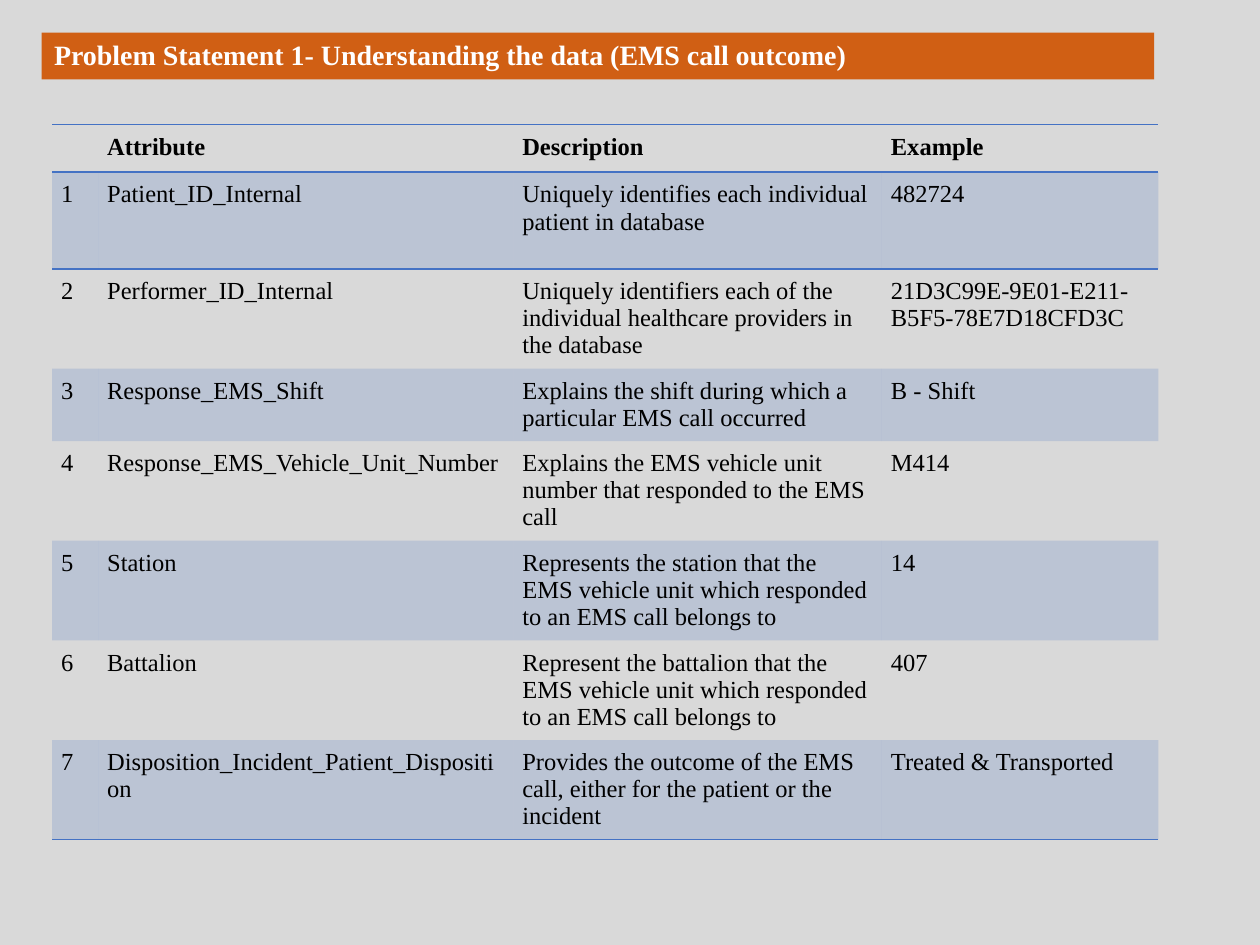
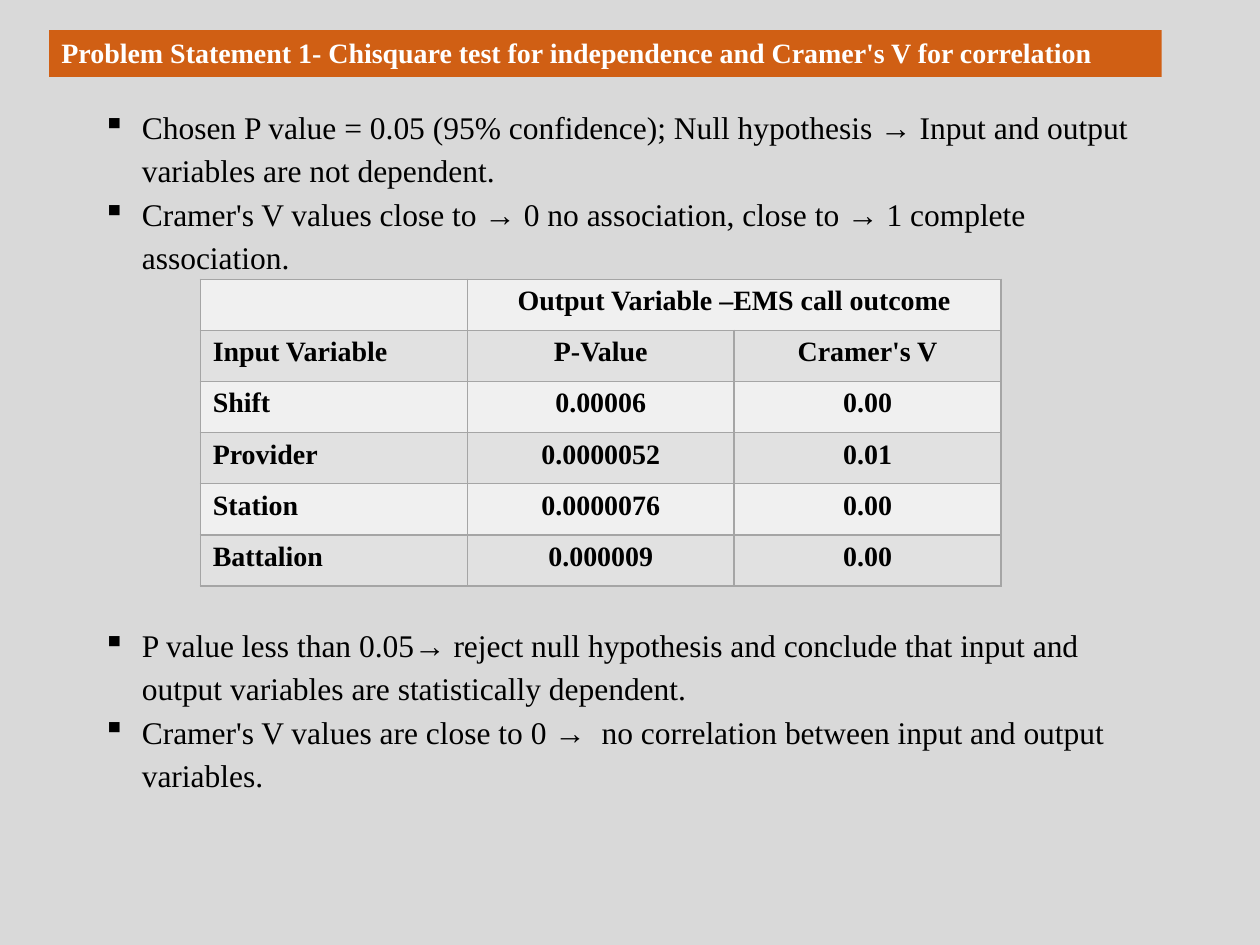
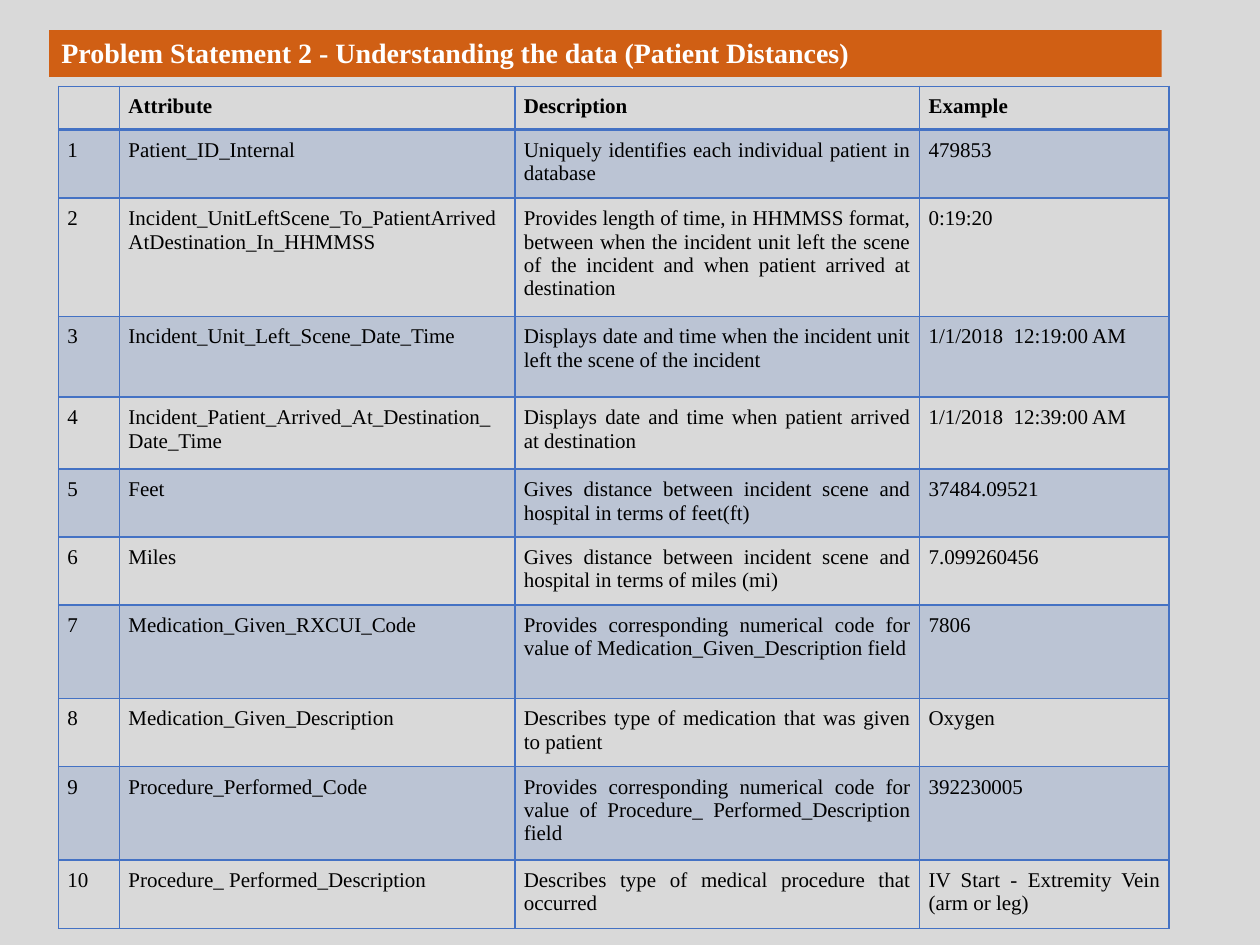
from dataclasses import dataclass

import lxml.etree
import pptx
import pptx.dml.color
import pptx.enum.shapes
import pptx.enum.text
import pptx.oxml.ns
import pptx.util

Cm = pptx.util.Cm
Pt = pptx.util.Pt
RGBColor = pptx.dml.color.RGBColor
Align = pptx.enum.text.PP_ALIGN
qn = pptx.oxml.ns.qn

BACKGROUND = RGBColor(0xD9, 0xD9, 0xD9)
ORANGE = RGBColor(0xD0, 0x5F, 0x14)
BLUE = RGBColor(0x44, 0x72, 0xC4)
GREY_LINE = RGBColor(0xA5, 0xA5, 0xA5)
LIGHT_ROW = RGBColor(0xF0, 0xF0, 0xF0)
DARK_ROW = RGBColor(0xE1, 0xE1, 0xE1)
WHITE = RGBColor(0xFF, 0xFF, 0xFF)
BLACK = RGBColor(0, 0, 0)

FONT = "Times New Roman"
LINE_SPACING = 1.15
SIDE_INSET = 0.25
PLAIN_TABLE_STYLE = "{2D5ABB26-0587-4C30-8999-92F81FD0307C}"
BLANK_LAYOUT = 6


@dataclass(frozen=True)
class TableLook:
    """Sizes are in points and margins in centimetres; borders map a side (L, R, T, B) to a width."""
    text_size: int
    margins: tuple[float, float]
    alignments: tuple
    line_color: RGBColor
    borders: dict[str, float]
    header_borders: dict[str, float]
    last_borders: dict[str, float]
    row_fills: tuple
    fill_alpha: int = 100
    bold_rows: int = 1


@dataclass(frozen=True)
class TableData:
    """Position and sizes are in centimetres."""
    left: float
    top: float
    column_widths: tuple[float, ...]
    row_heights: tuple[float, ...]
    rows: tuple[tuple[str, ...], ...]


@dataclass(frozen=True)
class Bullet:
    text: str
    space_before: float = 0


GRID = dict.fromkeys("LRTB", 1)
ATTRIBUTE_HEADER = ("", "Attribute", "Description", "Example")

OPEN_LOOK = TableLook(
    text_size=14, margins=(0.18, 0.18), alignments=(Align.LEFT,) * 4, line_color=BLUE,
    borders={}, header_borders={"T": 1, "B": 1}, last_borders={"B": 1},
    row_fills=(None, BLUE), fill_alpha=20)
BOXED_LOOK = TableLook(
    text_size=12, margins=(0.18, 0.18), alignments=(Align.JUSTIFY,) * 4, line_color=BLUE,
    borders=GRID, header_borders=GRID | {"B": 2}, last_borders=GRID,
    row_fills=(None, BLUE), fill_alpha=20)
RESULT_LOOK = TableLook(
    text_size=16, margins=(0.25, 0.13), alignments=(Align.LEFT, Align.CENTER, Align.CENTER),
    line_color=GREY_LINE, borders=GRID, header_borders=GRID, last_borders=GRID,
    row_fills=(LIGHT_ROW, DARK_ROW), bold_rows=6)

CALL_OUTCOME = TableData(
    1.05, 2.51, (0.93, 8.37, 7.43, 5.57),
    (0.91, 1.95, 2.01, 1.46, 2.01, 2.01, 2.01, 2.01),
    (
        ATTRIBUTE_HEADER,
        ("1", "Patient_ID_Internal",
         "Uniquely identifies each individual patient in database", "482724"),
        ("2", "Performer_ID_Internal",
         "Uniquely identifiers each of the individual healthcare providers in the database",
         "21D3C99E-9E01-E211-B5F5-78E7D18CFD3C"),
        ("3", "Response_EMS_Shift",
         "Explains the shift during which a particular EMS call occurred", "B - Shift"),
        ("4", "Response_EMS_Vehicle_Unit_Number",
         "Explains the EMS vehicle unit number that responded to the EMS call", "M414"),
        ("5", "Station",
         "Represents the station that the EMS vehicle unit which responded to an EMS call belongs to",
         "14"),
        ("6", "Battalion",
         "Represent the battalion that the EMS vehicle unit which responded to an EMS call belongs to",
         "407"),
        ("7", "Disposition_Incident_Patient_Disposition",
         "Provides the outcome of the EMS call, either for the patient or the incident",
         "Treated & Transported"),
    ))

TEST_RESULTS = TableData(
    4.04, 5.63, (5.38,) * 3, (1.03,) * 6,
    (
        ("", "Output Variable –EMS call outcome", ""),
        ("Input Variable", "P-Value", "Cramer's V"),
        ("Shift", "0.00006", "0.00"),
        ("Provider", "0.0000052", "0.01"),
        ("Station", "0.0000076", "0.00"),
        ("Battalion", "0.000009", "0.00"),
    ))

PATIENT_DISTANCES = TableData(
    1.18, 1.74, (1.23, 7.97, 8.16, 5.03),
    (0.87, 1.38, 2.38, 1.63, 1.45, 1.37, 1.37, 1.88, 1.38, 1.88, 1.38),
    (
        ATTRIBUTE_HEADER,
        ("1", "Patient_ID_Internal",
         "Uniquely identifies each individual patient in database", "479853"),
        ("2", "Incident_UnitLeftScene_To_PatientArrivedAtDestination_In_HHMMSS",
         "Provides length of time, in HHMMSS format, between when the incident unit left "
         "the scene of the incident and when patient arrived at destination", "0:19:20"),
        ("3", "Incident_Unit_Left_Scene_Date_Time",
         "Displays date and time when the incident unit left the scene of the incident",
         "1/1/2018  12:19:00 AM"),
        ("4", "Incident_Patient_Arrived_At_Destination_Date_Time",
         "Displays date and time when patient arrived at destination",
         "1/1/2018  12:39:00 AM"),
        ("5", "Feet",
         "Gives distance between incident scene and hospital in terms of feet(ft)",
         "37484.09521"),
        ("6", "Miles",
         "Gives distance between incident scene and hospital in terms of miles (mi)",
         "7.099260456"),
        ("7", "Medication_Given_RXCUI_Code",
         "Provides corresponding numerical code for value of Medication_Given_Description field",
         "7806"),
        ("8", "Medication_Given_Description",
         "Describes type of medication that was given to patient", "Oxygen"),
        ("9", "Procedure_Performed_Code",
         "Provides corresponding numerical code for value of "
         "Procedure_ Performed_Description field", "392230005"),
        ("10", "Procedure_ Performed_Description",
         "Describes type of medical procedure that occurred",
         "IV Start - Extremity Vein (arm or leg)"),
    ))

TEST_BULLETS = (
    Bullet("Chosen P value = 0.05 (95% confidence); Null hypothesis → "
           "Input and output variables are not dependent."),
    Bullet("Cramer's V values close to → 0 no association, close to → 1 complete association."),
    Bullet("P value less than 0.05→ reject null hypothesis and conclude that input "
           "and output variables are statistically dependent.", space_before=196.6),
    Bullet("Cramer's V values are close to 0 →  no correlation between "
           "input and output variables."),
)


def format_runs(para, size: float, color: RGBColor, bold: bool = False) -> None:
    for span in para.runs:
        span.font.name = FONT
        span.font.size = Pt(size)
        span.font.bold = bold
        span.font.color.rgb = color


def add_page(deck):
    page = deck.slides.add_slide(deck.slide_layouts[BLANK_LAYOUT])
    page.background.fill.solid()
    page.background.fill.fore_color.rgb = BACKGROUND
    return page


def add_panel(page, left: float, top: float, width: float, height: float, color: RGBColor):
    """Add a flat rectangle whose text starts at the top left."""
    panel = page.shapes.add_shape(
        pptx.enum.shapes.MSO_SHAPE.RECTANGLE, Cm(left), Cm(top), Cm(width), Cm(height))
    panel.shadow.inherit = False
    panel.fill.solid()
    panel.fill.fore_color.rgb = color
    panel.line.fill.background()
    frame = panel.text_frame
    frame.word_wrap = True
    frame.vertical_anchor = pptx.enum.text.MSO_ANCHOR.TOP
    frame.margin_left = frame.margin_right = Cm(SIDE_INSET)
    frame.margin_top = frame.margin_bottom = 0
    return panel


def add_title(page, text: str, left: float = 0.99, top: float = 0.61) -> None:
    band = add_panel(page, left, top, 22.43, 0.94, ORANGE)
    para = band.text_frame.paragraphs[0]
    para.text = text
    para.alignment = Align.LEFT
    para.line_spacing = LINE_SPACING
    format_runs(para, 16, WHITE, bold=True)


def add_bullets(page, bullets: tuple[Bullet, ...]) -> None:
    panel = add_panel(page, 1.19, 2.06, 22.25, 15.62, BACKGROUND)
    panel.line.color.rgb = BACKGROUND
    panel.line.width = Pt(0.75)
    frame = panel.text_frame
    for index, bullet in enumerate(bullets):
        para = frame.add_paragraph() if index else frame.paragraphs[0]
        para.text = bullet.text
        properties = para._p.get_or_add_pPr()
        properties.set("marL", str(Cm(1.42)))
        properties.set("indent", str(Cm(-0.79)))
        lxml.etree.SubElement(properties, qn("a:buChar"), char="▪")
        para.alignment = Align.LEFT
        para.line_spacing = LINE_SPACING
        if bullet.space_before:
            para.space_before = Pt(bullet.space_before)
        format_runs(para, 18, BLACK)


def set_borders(cell, widths: dict[str, float], color: RGBColor) -> None:
    """Draw the given sides; call before filling, as lines precede the fill in a cell."""
    properties = cell._tc.get_or_add_tcPr()
    for side, width in widths.items():
        line = lxml.etree.SubElement(properties, qn(f"a:ln{side}"), w=str(Pt(width)))
        solid = lxml.etree.SubElement(line, qn("a:solidFill"))
        lxml.etree.SubElement(solid, qn("a:srgbClr"), val=str(color))


def fill_cell(cell, color: RGBColor | None, alpha: int) -> None:
    if color is None:
        cell.fill.background()
        return
    cell.fill.solid()
    cell.fill.fore_color.rgb = color
    if alpha < 100:
        tint = cell._tc.tcPr.find(f"{qn('a:solidFill')}/{qn('a:srgbClr')}")
        lxml.etree.SubElement(tint, qn("a:alpha"), val=str(alpha * 1000))


def write_cell(cell, text: str, look: TableLook, alignment, bold: bool) -> None:
    cell.margin_left = cell.margin_right = Cm(look.margins[0])
    cell.margin_top = cell.margin_bottom = Cm(look.margins[1])
    para = cell.text_frame.paragraphs[0]
    para.alignment = alignment
    if text:
        para.text = text
        format_runs(para, look.text_size, BLACK, bold)
    else:
        lxml.etree.SubElement(para._p, qn("a:endParaRPr"), sz=str(look.text_size * 100))


def add_data_table(page, data: TableData, look: TableLook):
    row_count = len(data.rows)
    table = page.shapes.add_table(
        row_count, len(data.column_widths), Cm(data.left), Cm(data.top),
        Cm(sum(data.column_widths)), Cm(sum(data.row_heights))).table
    table.first_row = table.horz_banding = False
    table._tbl.tblPr.find(qn("a:tableStyleId")).text = PLAIN_TABLE_STYLE
    for column, width in zip(table.columns, data.column_widths):
        column.width = Cm(width)
    for index, (row, height, texts) in enumerate(zip(table.rows, data.row_heights, data.rows)):
        row.height = Cm(height)
        if index == 0:
            borders = look.header_borders
        elif index == row_count - 1:
            borders = look.last_borders
        elif index == 1:
            borders = look.borders | {"T": look.header_borders["B"]}
        else:
            borders = look.borders
        for cell, text, alignment in zip(row.cells, texts, look.alignments):
            write_cell(cell, text, look, alignment, bold=index < look.bold_rows)
            set_borders(cell, {side: borders[side] for side in "LRTB" if side in borders},
                        look.line_color)
            fill_cell(cell, look.row_fills[index % 2], look.fill_alpha)
    return table


def main() -> None:
    deck = pptx.Presentation()
    deck.slide_width, deck.slide_height = Cm(25.4), Cm(19.05)

    page = add_page(deck)
    add_title(page, "Problem Statement 1- Understanding the data (EMS call outcome)", 0.84, 0.66)
    add_data_table(page, CALL_OUTCOME, OPEN_LOOK)

    page = add_page(deck)
    add_bullets(page, TEST_BULLETS)
    add_title(page, "Problem Statement 1- Chisquare test for independence and Cramer's V for correlation")
    results = add_data_table(page, TEST_RESULTS, RESULT_LOOK)
    results.cell(0, 1).merge(results.cell(0, 2))

    page = add_page(deck)
    add_title(page, "Problem Statement 2 - Understanding the data (Patient Distances)")
    add_data_table(page, PATIENT_DISTANCES, BOXED_LOOK)

    deck.save("out.pptx")


if __name__ == "__main__":
    main()
